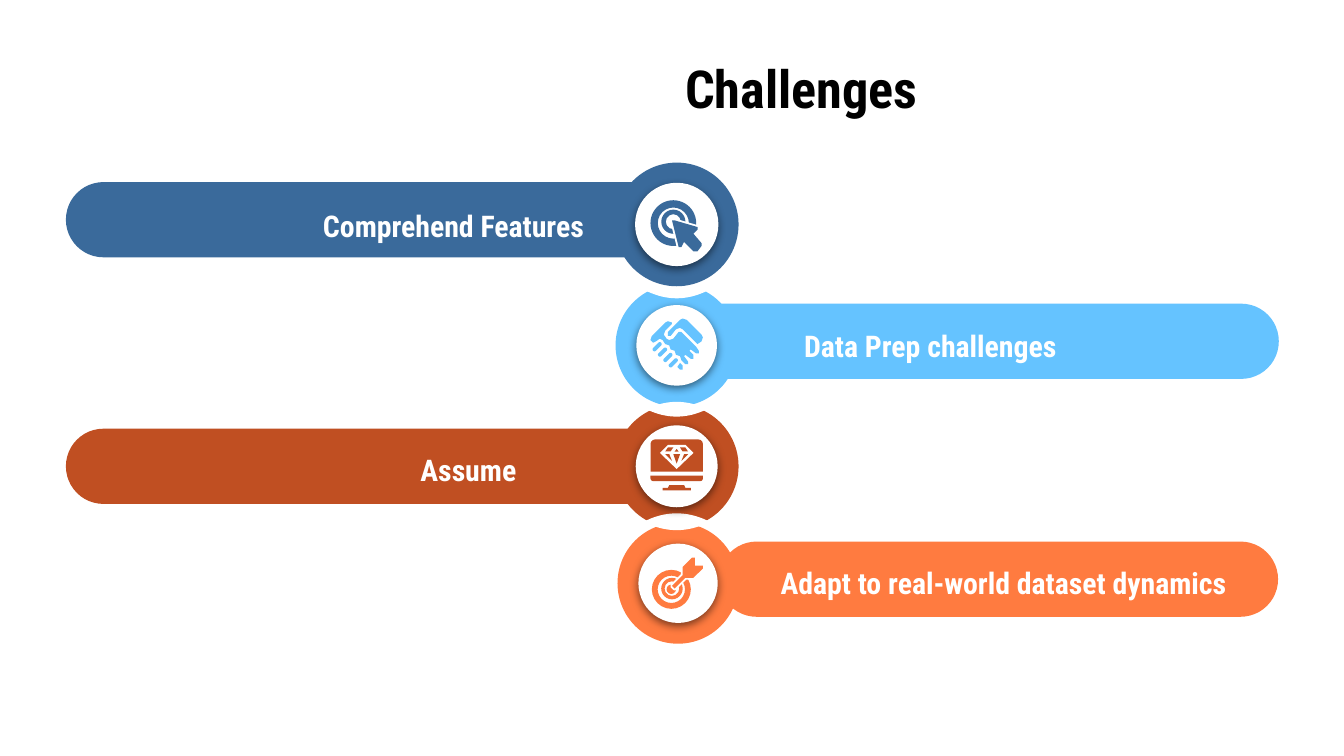
from lxml import etree
from pptx import Presentation, util as u
from pptx.dml.color import RGBColor
from pptx.enum import shapes as s, text as t
from pptx.oxml import ns

NAVY = RGBColor(0x3A, 0x6A, 0x9B)
SKY = RGBColor(0x65, 0xC3, 0xFF)
RUST = RGBColor(0xC0, 0x4F, 0x22)
PEACH = RGBColor(0xFF, 0x7B, 0x40)
WHITE = RGBColor(255, 255, 255)
BLACK = RGBColor(0, 0, 0)
FONT = "Roboto Condensed"
KIND = s.MSO_SHAPE

deck = Presentation()
deck.slide_width = u.Inches(10)
deck.slide_height = deck.slide_width * 9 // 16
slide = deck.slides.add_slide(deck.slide_layouts[6])
CELL = deck.slide_width // 1000  # the grid has 1000 columns of square cells


def form(kind, box, hue, adj=None, turn=0):
    """Add a flat preset shape; box is left, top, width, height in cells."""
    shape = slide.shapes.add_shape(kind, *[round(n * CELL) for n in box])
    shape.fill.solid()
    shape.fill.fore_color.rgb = hue
    shape.line.fill.background()
    shape.shadow.inherit = False
    shape.rotation = turn
    if adj is not None:
        shape.adjustments[0] = adj
    return shape


def poly(spots, hue, edge=0):
    """Add a flat closed outline through spots; edge is its line in points."""
    spots = [(round(x * CELL), round(y * CELL)) for x, y in spots]
    pen = slide.shapes.build_freeform(*spots[0])
    pen.add_line_segments(spots[1:], close=True)
    shape = pen.convert_to_shape()
    shape.fill.solid()
    shape.fill.fore_color.rgb = hue
    shape.shadow.inherit = False
    if edge:
        shape.line.color.rgb = hue
        shape.line.width = u.Pt(edge)
    else:
        shape.line.fill.background()


# Rows from back to front: colour, bar (left, top, width), centre of the
# ring, ring and disc size, lenses (top, width, height)
MID = 503.5
rows = [
    (PEACH, (535, 403, 416), (504.5, 434), 90, 59, []),
    (RUST, (49, 319, 481), (MID, 347), 92, 61, [(382, 49, 12.5)]),
    (SKY, (470.5, 226, 481), (MID, 257), 91, 60,
     [(299, 45, 11), (211, 45, 11)]),
    (NAVY, (49, 135.5, 481), (MID, 167), 92, 62, []),
]
for hue, bar, (x, y), ring, disc, gaps in rows:
    form(KIND.ROUNDED_RECTANGLE, (*bar, 56), hue, 0.5)
    form(KIND.OVAL, (x - ring / 2, y - ring / 2, ring, ring), hue)
    for top, wide, high in gaps:
        steps = [n / 10 for n in range(-10, 11)]
        lens = [(MID + wide / 2 * side * n,
                 top + high / 2 * (1 - side * (1 - n * n)))
                for side in (1, -1) for n in steps]
        poly(lens, WHITE)
    plate = form(KIND.OVAL, (x - disc / 2, y - disc / 2, disc, disc), WHITE)
    glow = plate._element.spPr.find(ns.qn("a:effectLst"))
    shade = etree.SubElement(glow, ns.qn("a:outerShdw"), blurRad="57150",
                             dist="19050", dir="5400000", algn="bl",
                             rotWithShape="0")
    ink = etree.SubElement(shade, ns.qn("a:srgbClr"), val="000000")
    etree.SubElement(ink, ns.qn("a:alpha"), val="50000")

# Target icons: round parts, then a pointer with a white halo
rounds = [
    (KIND.DONUT, (484, 149, 34, 34), NAVY, 0.16),
    (KIND.DONUT, (492, 156, 18, 18), NAVY, 0.19),
    (KIND.DONUT, (485, 424, 29, 29), PEACH, 0.15),
    (KIND.DONUT, (492, 430, 16, 16), PEACH, 0.16),
    (KIND.OVAL, (496, 435, 7, 7), PEACH, None),
]
for part in rounds:
    form(*part)
mouse = [(500, 164), (505, 184), (507, 184), (509, 180), (516, 187),
         (519, 187), (522, 183), (522, 181), (516, 174), (519, 171),
         (519, 169), (502, 164)]
dart = [(515, 415), (508, 422), (508, 428), (500, 436), (502, 438),
        (510, 430), (516, 430), (523, 423), (523, 421), (517, 421),
        (517, 415)]
for spots, hue in ((mouse, NAVY), (dart, PEACH)):
    poly(spots, WHITE, 2)
    poly(spots, hue)

# Handshake icon
for n in range(4):
    form(KIND.ROUNDED_RECTANGLE, (484.75 + 4 * n, 256.5 + 4 * n, 8.5, 3),
         SKY, 0.5, -45)
poly([(506, 270), (504, 273), (506, 275), (508, 275), (508, 272)], SKY)
poly([(497, 239), (495, 240), (485, 250), (484, 253), (486, 255), (488, 254),
      (491, 252), (493, 253), (495, 256), (498, 257), (499, 260), (502, 261),
      (503, 264), (506, 265), (507, 268), (510, 271), (512, 271), (512, 269),
      (509, 265), (510, 264), (514, 267), (516, 267), (516, 264), (513, 261),
      (514, 260), (518, 263), (520, 263), (520, 261), (518, 258), (507, 247),
      (505, 247), (501, 252), (498, 253), (496, 252), (494, 249), (495, 246),
      (500, 241), (500, 240)], SKY)
poly([(508, 237), (506, 238), (497, 247), (497, 250), (499, 250), (503, 245),
      (506, 244), (508, 245), (519, 256), (522, 254), (523, 251), (522, 249),
      (511, 238)], SKY)

# Screen icon with a cut gem
form(KIND.ROUND_2_SAME_RECTANGLE, (484, 327, 39, 24), RUST, 0.14)
form(KIND.ROUND_2_SAME_RECTANGLE, (484, 354, 39, 4), RUST, 0.5, 180)
poly([(498, 361), (497, 363), (493, 363), (493, 365), (514, 365), (514, 363),
      (510, 363), (509, 361)], RUST)
poly([(497, 331), (510, 331), (516, 337), (503.5, 349), (491, 337)], WHITE)
facets = [
    [(503.5, 334), (502, 336), (505, 336)],
    [(497, 333), (495, 336), (499, 336), (501, 333)],
    [(506, 333), (508, 336), (512, 336), (510, 333)],
    [(509, 338), (507, 343), (512, 338)],
    [(501, 338), (503.5, 345), (506, 338)],
    [(495, 338), (500, 343), (498, 338)],
]
for spots in facets:
    poly(spots, RUST)

LEFT, RIGHT = t.PP_ALIGN.LEFT, t.PP_ALIGN.RIGHT
words = [
    ("Challenges", (500, 32, 466, 63), 28, BLACK, LEFT, 1),
    ("Comprehend Features", (193, 140.5, 251.5, 42), 16, WHITE, RIGHT, 1.15),
    ("Data Prep challenges", (588.5, 230, 289, 42), 16, WHITE, LEFT, 1.15),
    ("Assume", (303, 322, 139, 46), 16, WHITE, LEFT, 1.15),
    ("Adapt to real-world dataset dynamics", (571, 406, 353, 42), 16, WHITE,
     LEFT, 1.15),
]
for label, box, size, hue, side, lead in words:
    place = [round(n * CELL) for n in box]
    frame = slide.shapes.add_textbox(*place).text_frame
    frame.word_wrap = True
    frame.margin_left = frame.margin_right = 10 * CELL
    frame.margin_top = frame.margin_bottom = 10 * CELL
    line = frame.paragraphs[0]
    line.alignment, line.line_spacing = side, lead
    run = line.add_run()
    run.text = label
    run.font.name, run.font.size, run.font.bold = FONT, u.Pt(size), True
    run.font.color.rgb = hue

deck.save("out.pptx")
